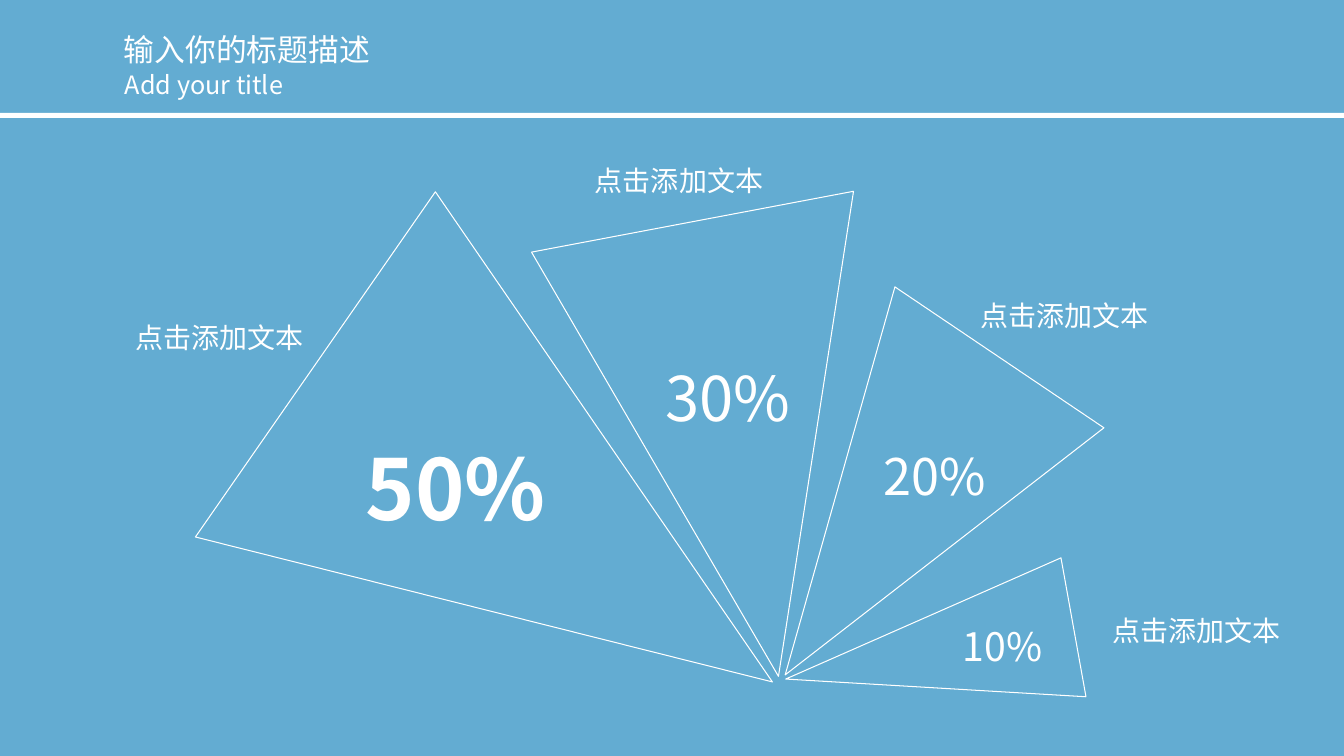
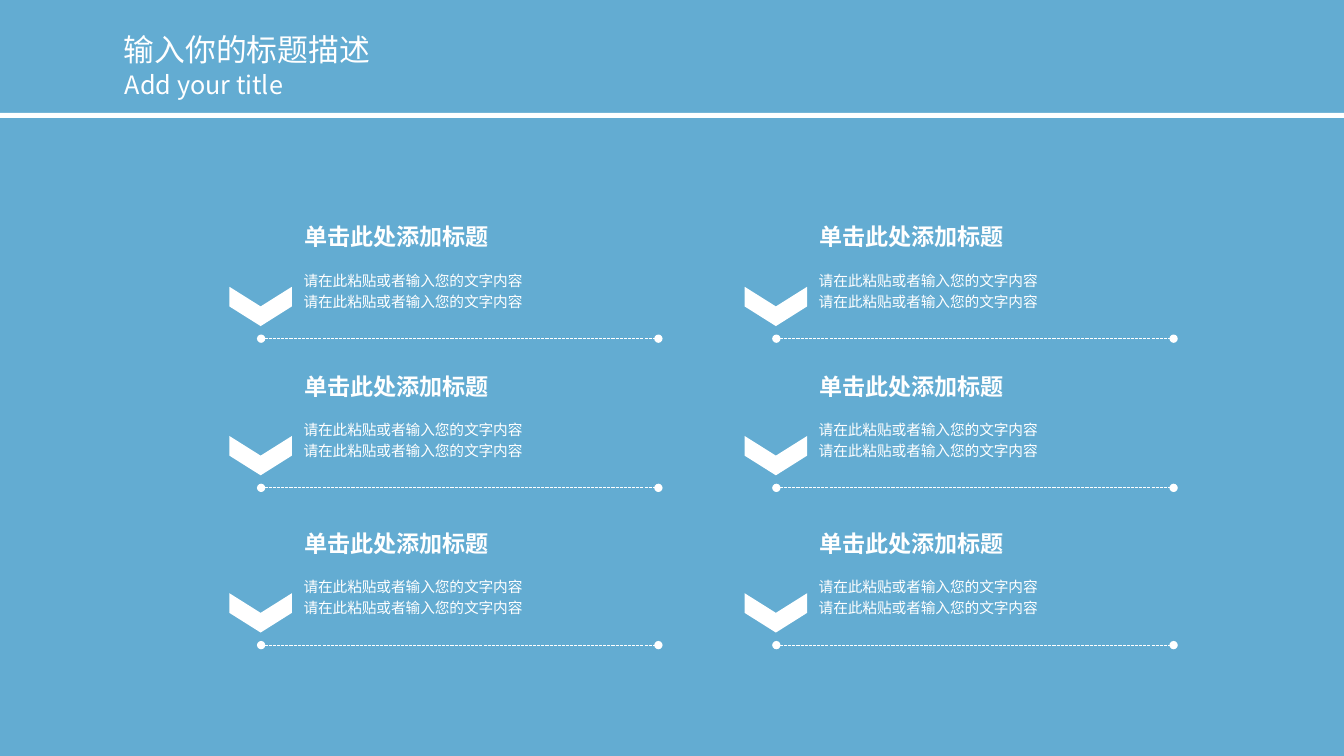
from dataclasses import dataclass
from itertools import product

from lxml import etree
from pptx import Presentation
from pptx.dml.color import RGBColor
from pptx.enum import dml, shapes, text
from pptx.oxml import ns
from pptx.util import Inches, Pt


@dataclass(frozen=True)
class Theme:
    blue: RGBColor = RGBColor(0x27, 0x8C, 0xC1)
    white: RGBColor = RGBColor(0xFF, 0xFF, 0xFF)
    blue_opacity: int = 72
    font: str = "Noto Sans CJK SC"
    title: float = 22
    subtitle: float = 18
    label: float = 20
    heading: float = 16.5
    body: float = 10.5
    line: float = 0.75


THEME = Theme()
WIDTH, HEIGHT = 13.33, 7.5
TIGHT_INSETS = (0.07, 0.04)

TITLE = "输入你的标题描述"
SUBTITLE = "Add your title"

# Each fan blade: triangle box, rotation, then its share and its label.
LABEL = "点击添加文本"
LABEL_SIZE = (1.91, 0.44)
BLADES = [
    dict(triangle=(3.31, 2.43, 4.17, 5.52), turn=124.8, label_at=(1.22, 3.13),
         share="50%", share_box=(3.2, 4.28, 2.64, 1.11), size=60, bold=True),
    dict(triangle=(5.67, 2.16, 3.25, 4.59), turn=169.3, label_at=(5.78, 1.57),
         share="30%", share_box=(6.12, 3.52, 2.2, 0.84), size=44, bold=False),
    dict(triangle=(7.6, 3.22, 2.5, 3.8), turn=214, label_at=(9.6, 2.91),
         share="20%", share_box=(8.46, 4.37, 1.62, 0.71), size=36, bold=False),
    dict(triangle=(8.52, 5.03, 1.4, 2.9), turn=259.8, label_at=(10.91, 6.04),
         share="10%", share_box=(9.03, 6.12, 1.83, 0.57), size=28, bold=False),
]

ITEM_HEADING = "单击此处添加标题"
ITEM_LINES = ["请在此粘贴或者输入您的文字内容"] * 2
RULE_LEFTS = (2.59, 7.7)
RULE_TOPS = (3.36, 4.84, 6.4)
RULE_LENGTH = 3.94


def add_shape(page, kind, box, fill=None, turn=0):
    """Add a filled shape without a line, or an outlined one without a fill."""
    shape = page.shapes.add_shape(kind, *map(Inches, box))
    shape.shadow.inherit = False
    shape.rotation = turn
    if fill is None:
        shape.fill.background()
        shape.line.color.rgb = THEME.white
        shape.line.width = Pt(THEME.line)
    else:
        shape.fill.solid()
        shape.fill.fore_color.rgb = fill
        shape.line.fill.background()
    return shape


def add_text(page, box, lines, size, bold=False, align=None, insets=(0.1, 0.05),
             spacing=None, wrap=True):
    frame = page.shapes.add_textbox(*map(Inches, box)).text_frame
    frame.word_wrap = wrap
    frame.auto_size = text.MSO_AUTO_SIZE.SHAPE_TO_FIT_TEXT
    frame.margin_left = frame.margin_right = Inches(insets[0])
    frame.margin_top = frame.margin_bottom = Inches(insets[1])
    frame.text = "\n".join(lines)
    for para in frame.paragraphs:
        para.alignment = align
        para.line_spacing = spacing
        for span in para.runs:
            span.font.size = Pt(size)
            span.font.bold = bold
            span.font.color.rgb = THEME.white
            span.font.name = THEME.font
            etree.SubElement(span._r.get_or_add_rPr(), ns.qn("a:ea"),
                             typeface=THEME.font)


def add_dotted_rule(page, left, top, length):
    """Add a dashed line with a round dot at both ends."""
    rule = page.shapes.add_connector(
        shapes.MSO_CONNECTOR.STRAIGHT,
        *map(Inches, (left, top, left + length, top)))
    rule.line.color.rgb = THEME.white
    rule.line.width = Pt(THEME.line)
    rule.line.dash_style = dml.MSO_LINE.SQUARE_DOT
    properties = rule._element.spPr
    outline = properties.find(ns.qn("a:ln"))
    for end in ("a:headEnd", "a:tailEnd"):
        etree.SubElement(outline, ns.qn(end), type="oval")
    etree.SubElement(properties, ns.qn("a:effectLst"))


def add_page(deck):
    """Add a slide with the shared backdrop, title and band."""
    page = deck.slides.add_slide(deck.slide_layouts[6])
    backdrop = add_shape(page, shapes.MSO_SHAPE.RECTANGLE,
                         (0, 0, WIDTH, HEIGHT), THEME.blue)
    color = backdrop._element.spPr.find(".//" + ns.qn("a:srgbClr"))
    etree.SubElement(color, ns.qn("a:alpha"), val=str(THEME.blue_opacity * 1000))
    add_text(page, (1.13, 0.26, 3.08, 0.47), [TITLE], THEME.title)
    add_text(page, (1.14, 0.64, 2.67, 0.4), [SUBTITLE], THEME.subtitle)
    add_shape(page, shapes.MSO_SHAPE.RECTANGLE, (0, 1.12, WIDTH, 0.05), THEME.white)
    return page


def build_fan(page):
    center = text.PP_ALIGN.CENTER
    for blade in BLADES:
        add_shape(page, shapes.MSO_SHAPE.ISOSCELES_TRIANGLE, blade["triangle"],
                  turn=blade["turn"])
    for blade in BLADES:
        add_text(page, blade["label_at"] + LABEL_SIZE, [LABEL], THEME.label,
                 align=center)
        add_text(page, blade["share_box"], [blade["share"]], blade["size"],
                 blade["bold"], center)


def build_items(page):
    for left, top in product(RULE_LEFTS, RULE_TOPS):
        add_shape(page, shapes.MSO_SHAPE.CHEVRON,
                  (left - 0.2, top - 0.63, 0.39, 0.62), THEME.white, turn=90)
        add_dotted_rule(page, left, top, RULE_LENGTH)
        add_text(page, (left + 0.36, top - 1.19, 2, 0.35), [ITEM_HEADING],
                 THEME.heading, bold=True, insets=TIGHT_INSETS, wrap=False)
        add_text(page, (left + 0.35, top - 0.74, 3.59, 0.5), ITEM_LINES,
                 THEME.body, insets=TIGHT_INSETS, spacing=1.2)


def main():
    deck = Presentation()
    deck.slide_width, deck.slide_height = Inches(WIDTH), Inches(HEIGHT)
    for build in (build_fan, build_items):
        build(add_page(deck))
    deck.save("out.pptx")


if __name__ == "__main__":
    main()
